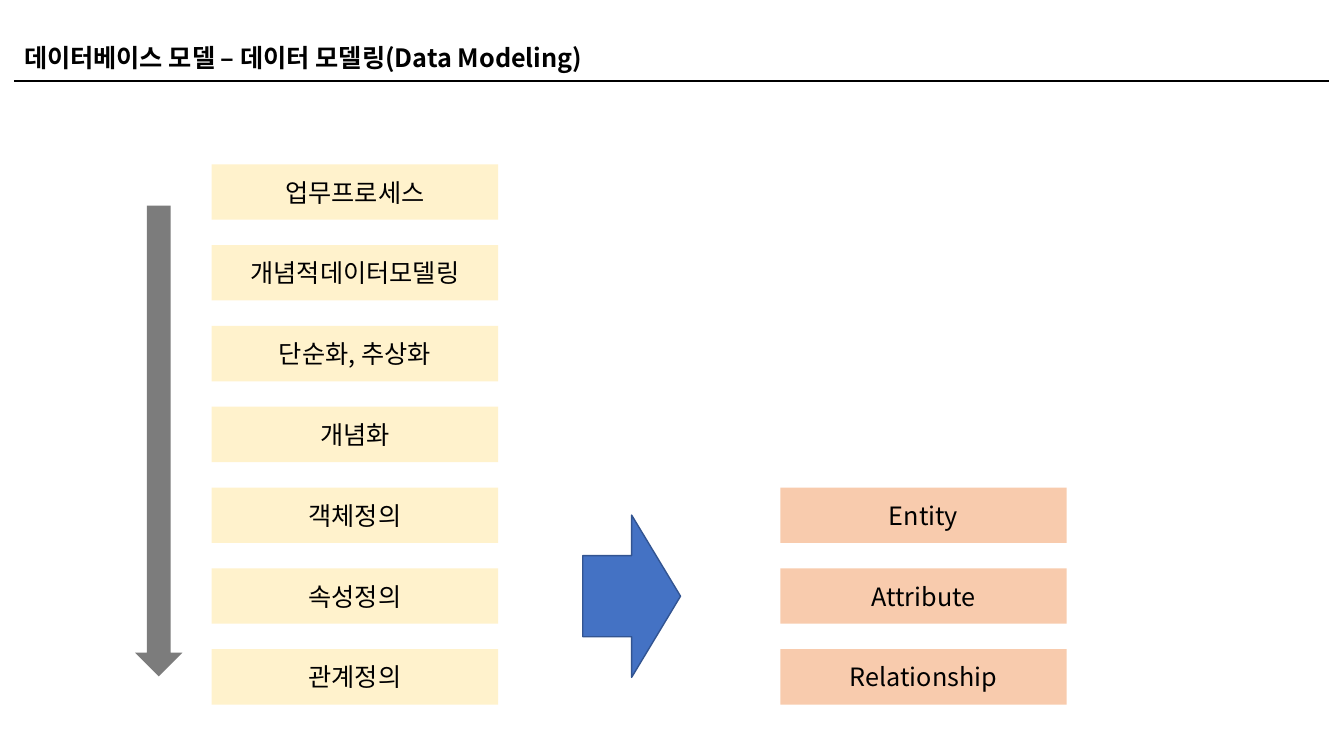
import pptx
import pptx.util
import pptx.dml.color
import pptx.enum.shapes
import pptx.enum.text
import pptx.oxml
import pptx.oxml.ns
from dataclasses import dataclass

Inches = pptx.util.Inches
Kind = pptx.enum.shapes.MSO_SHAPE
Align = pptx.enum.text.PP_ALIGN
Anchor = pptx.enum.text.MSO_ANCHOR

title = "데이터베이스 모델 – 데이터 모델링(Data Modeling)"
steps = ["업무프로세스", "개념적데이터모델링", "단순화, 추상화", "개념화",
         "객체정의", "속성정의", "관계정의"]
terms = ["Entity", "Attribute", "Relationship"]


@dataclass
class Theme:
    font: str = "Noto Sans CJK KR"
    size: int = 18
    ink: str = "000000"
    cream: str = "FFF2CC"
    peach: str = "F8CBAD"
    gray: str = "7C7C7C"
    blue: str = "4472C4"
    navy: str = "325491"


theme = Theme()
left, width = 0.14, 13.04
top, last = 1.63, 6.44
pitch = (last - top) / (len(steps) - 1)
box_w, box_h = 2.84, 0.55
step_x, term_x = 2.1, 7.74

deck = pptx.Presentation()
deck.slide_width, deck.slide_height = Inches(13.33), Inches(7.5)
slide = deck.slides.add_slide(deck.slide_layouts[6])


def color(code):
    return pptx.dml.color.RGBColor.from_string(code)


def write(frame, text, bold=False):
    run = frame.paragraphs[0].add_run()
    run.text = text
    font = run.font
    font.name, font.size, font.bold = theme.font, pptx.util.Pt(theme.size), bold
    font.color.rgb = color(theme.ink)
    east = pptx.oxml.parse_xml(
        f'<a:ea {pptx.oxml.ns.nsdecls("a")} typeface="{theme.font}"/>')
    run._r.get_or_add_rPr().find(pptx.oxml.ns.qn("a:latin")).addnext(east)


def draw(kind, place, fill, edge=None):
    shape = slide.shapes.add_shape(kind, *map(Inches, place))
    shape.shadow.inherit = False
    shape.fill.solid()
    shape.fill.fore_color.rgb = color(fill)
    if edge:
        shape.line.color.rgb = color(edge)
        shape.line.width = pptx.util.Pt(1)
    else:
        shape.line.fill.background()
    return shape


def stack(names, x, first, fill):
    for row, name in enumerate(names, first):
        place = (x, top + row * pitch, box_w, box_h)
        frame = draw(Kind.RECTANGLE, place, fill).text_frame
        frame.vertical_anchor = Anchor.MIDDLE
        frame.paragraphs[0].alignment = Align.CENTER
        write(frame, name)


rule = slide.shapes.add_connector(
    pptx.enum.shapes.MSO_CONNECTOR.STRAIGHT,
    *map(Inches, (left, 0.8, left + width, 0.8)))
rule.line.color.rgb = color(theme.ink)
rule.line.width = pptx.util.Pt(1.5)
rule._element.spPr.append(
    pptx.oxml.parse_xml(f'<a:effectLst {pptx.oxml.ns.nsdecls("a")}/>'))

head = slide.shapes.add_textbox(*map(Inches, (left, 0.37, width, 0.4))).text_frame
head.word_wrap = True
write(head, title, bold=True)

stack(steps, step_x, 0, theme.cream)
draw(Kind.DOWN_ARROW, (1.34, 2.04, 0.47, 4.67), theme.gray)
stack(terms, term_x, len(steps) - len(terms), theme.peach)
draw(Kind.RIGHT_ARROW, (5.78, 5.11, 0.97, 1.61), theme.blue, theme.navy)

deck.save("out.pptx")
